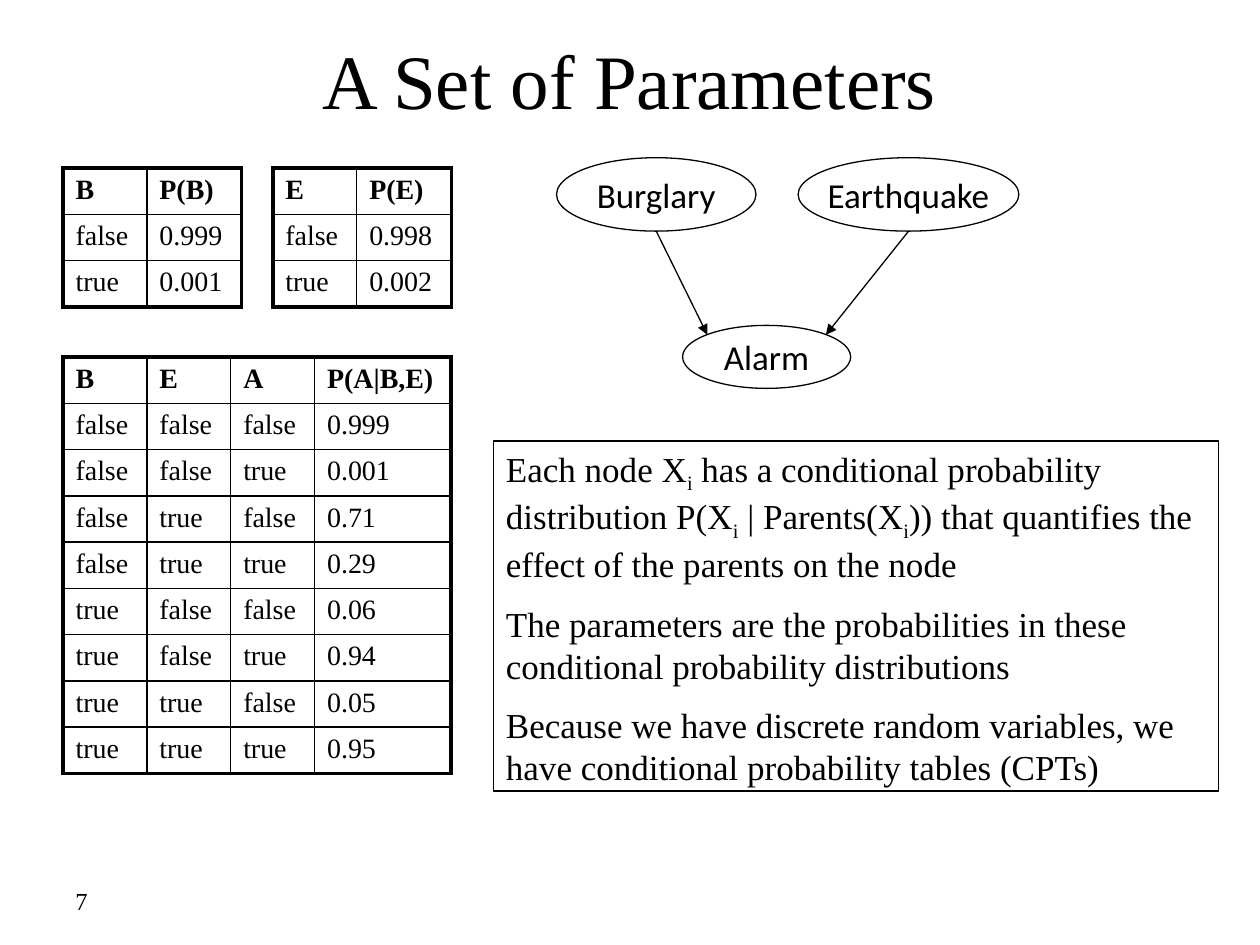
from lxml import etree
from pptx import Presentation
from pptx.dml.color import RGBColor
from pptx.enum.shapes import MSO_CONNECTOR, MSO_SHAPE
from pptx.enum.text import MSO_ANCHOR, MSO_AUTO_SIZE, PP_ALIGN
from pptx.oxml import parse_xml
from pptx.oxml.ns import nsdecls, qn
from pptx.util import Cm, Pt

BLACK = RGBColor(0x00, 0x00, 0x00)
SERIF = "Times New Roman"
SANS = "Calibri"
THIN, THICK = Pt(1), Pt(2.25)
OUTLINE = Pt(0.75)

STATE_WIDTH = 1.69  # columns that hold a state of a variable
PRIOR_WIDTH = 1.91
JOINT_WIDTH = 2.75
ROW_HEIGHT = 0.93

STATES = ["false", "true"]
ALARM_CHANCES = ["0.999", "0.001", "0.71", "0.29", "0.06", "0.94", "0.05", "0.95"]

# Each paragraph alternates between normal text and subscripts
NOTES = [
    ["Each node X", "i", " has a conditional probability distribution P(X", "i",
     " | Parents(X", "i",
     ")) that quantifies the effect of the parents on the node"],
    ["The parameters are the probabilities in these conditional "
     "probability distributions"],
    ["Because we have discrete random variables, we have conditional "
     "probability tables (CPTs)"],
]


def add_span(para, text, size, font=SERIF, bold=False):
    span = para.add_run()
    span.text = text
    formats = {"name": font, "size": Pt(size), "bold": bold}
    for key, value in formats.items():
        setattr(span.font, key, value)
    span.font.color.rgb = BLACK
    return span


def set_frame(frame, **formats):
    for key, value in formats.items():
        setattr(frame, key, value)


def add_title(page, text):
    title = page.shapes.title
    place = {"left": Cm(1.9), "top": Cm(0.42), "width": Cm(21.59), "height": Cm(2.33)}
    for key, value in place.items():
        setattr(title, key, value)
    set_frame(title.text_frame, vertical_anchor=MSO_ANCHOR.MIDDLE, word_wrap=True)
    para = title.text_frame.paragraphs[0]
    para.alignment = PP_ALIGN.CENTER
    add_span(para, text, 44)


def add_outlined(page, kind, left, top, width, height):
    shape = page.shapes.add_shape(kind, Cm(left), Cm(top), Cm(width), Cm(height))
    shape.shadow.inherit = False
    shape.fill.background()
    shape.line.color.rgb = BLACK
    shape.line.width = OUTLINE
    return shape


def add_node(page, name, left, top, width, height):
    node = add_outlined(page, MSO_SHAPE.OVAL, left, top, width, height)
    set_frame(node.text_frame, vertical_anchor=MSO_ANCHOR.MIDDLE, word_wrap=False)
    para = node.text_frame.paragraphs[0]
    para.alignment = PP_ALIGN.CENTER
    add_span(para, name, 20, SANS)
    return node


def add_arrow(page, parent, end_x, end_y):
    """Draw an arrow from the bottom of a parent node."""
    arrow = page.shapes.add_connector(
        MSO_CONNECTOR.STRAIGHT, parent.left + parent.width // 2,
        parent.top + parent.height, Cm(end_x), Cm(end_y))
    arrow.line.color.rgb = BLACK
    arrow.line.width = OUTLINE
    etree.SubElement(arrow.line._get_or_add_ln(), qn("a:tailEnd"), type="triangle")
    etree.SubElement(arrow._element.spPr, qn("a:effectLst"))


def set_borders(cell, widths):
    properties = cell._tc.get_or_add_tcPr()
    for side, width in widths.items():
        properties.append(parse_xml(
            f'<a:ln{side} {nsdecls("a")} w="{width}"><a:solidFill>'
            f'<a:srgbClr val="{BLACK}"/></a:solidFill></a:ln{side}>'))


def add_probabilities(page, left, top, widths, rows):
    """Draw a probability table with a thick frame and thin inner rules."""
    frame = page.shapes.add_table(
        len(rows), len(widths), Cm(left), Cm(top),
        Cm(sum(widths)), Cm(ROW_HEIGHT * len(rows)))
    table = frame.table
    table.first_row = table.horz_banding = False
    for column, width in zip(table.columns, widths):
        column.width = Cm(width)
    last_row, last_column = len(rows) - 1, len(widths) - 1
    for r, row in enumerate(rows):
        table.rows[r].height = Cm(ROW_HEIGHT)
        for c, text in enumerate(row):
            cell = table.cell(r, c)
            outer = {"L": c == 0, "R": c == last_column,
                     "T": r == 0, "B": r == last_row}
            set_borders(cell, {side: THICK if edge else THIN
                               for side, edge in outer.items()})
            cell.fill.background()
            para = cell.text_frame.paragraphs[0]
            para.space_before = Pt(3.2)
            add_span(para, text, 16, bold=r == 0)


def add_notes(page):
    box = add_outlined(page, MSO_SHAPE.RECTANGLE, 9.95, 8.89, 14.61, 7.06)
    frame = box.text_frame
    set_frame(frame, vertical_anchor=MSO_ANCHOR.TOP, word_wrap=True,
              auto_size=MSO_AUTO_SIZE.SHAPE_TO_FIT_TEXT)
    for index, pieces in enumerate(NOTES):
        para = frame.add_paragraph() if index else frame.paragraphs[0]
        para.alignment = PP_ALIGN.LEFT
        para.space_before = Pt(10)
        for position, text in enumerate(pieces):
            span = add_span(para, text, 20)
            if position % 2:
                span.font._element.set("baseline", "-25000")


def add_page_number(page, number):
    box = page.shapes.add_textbox(Cm(1.27), Cm(17.65), Cm(5.92), Cm(1.02))
    set_frame(box.text_frame, vertical_anchor=MSO_ANCHOR.MIDDLE, word_wrap=True)
    add_span(box.text_frame.paragraphs[0], number, 14)


def main():
    deck = Presentation()
    deck.slide_width, deck.slide_height = Cm(25.4), Cm(19.05)
    page = deck.slides.add_slide(deck.slide_layouts[5])

    add_page_number(page, "7")
    add_title(page, "A Set of Parameters")

    # Network of causes and effect
    add_node(page, "Alarm", 13.76, 6.56, 3.39, 1.27)
    burglary = add_node(page, "Burglary", 11.22, 3.18, 4.02, 1.48)
    earthquake = add_node(page, "Earthquake", 16.09, 3.18, 4.45, 1.48)
    add_arrow(page, burglary, 14.26, 6.75)
    add_arrow(page, earthquake, 16.65, 6.75)

    # Prior tables side by side
    priors = [("B", 1.27, ["0.999", "0.001"]), ("E", 5.5, ["0.998", "0.002"])]
    for name, left, chances in priors:
        add_probabilities(page, left, 3.39, [STATE_WIDTH, PRIOR_WIDTH],
                          [(name, f"P({name})"), *zip(STATES, chances)])

    # Conditional table over every combination of states
    combinations = [(b, e, a) for b in STATES for e in STATES for a in STATES]
    joint = [(*states, chance) for states, chance in zip(combinations, ALARM_CHANCES)]
    add_probabilities(page, 1.27, 7.2, [STATE_WIDTH] * 3 + [JOINT_WIDTH],
                      [("B", "E", "A", "P(A|B,E)"), *joint])

    add_notes(page)
    deck.save("out.pptx")


if __name__ == "__main__":
    main()
